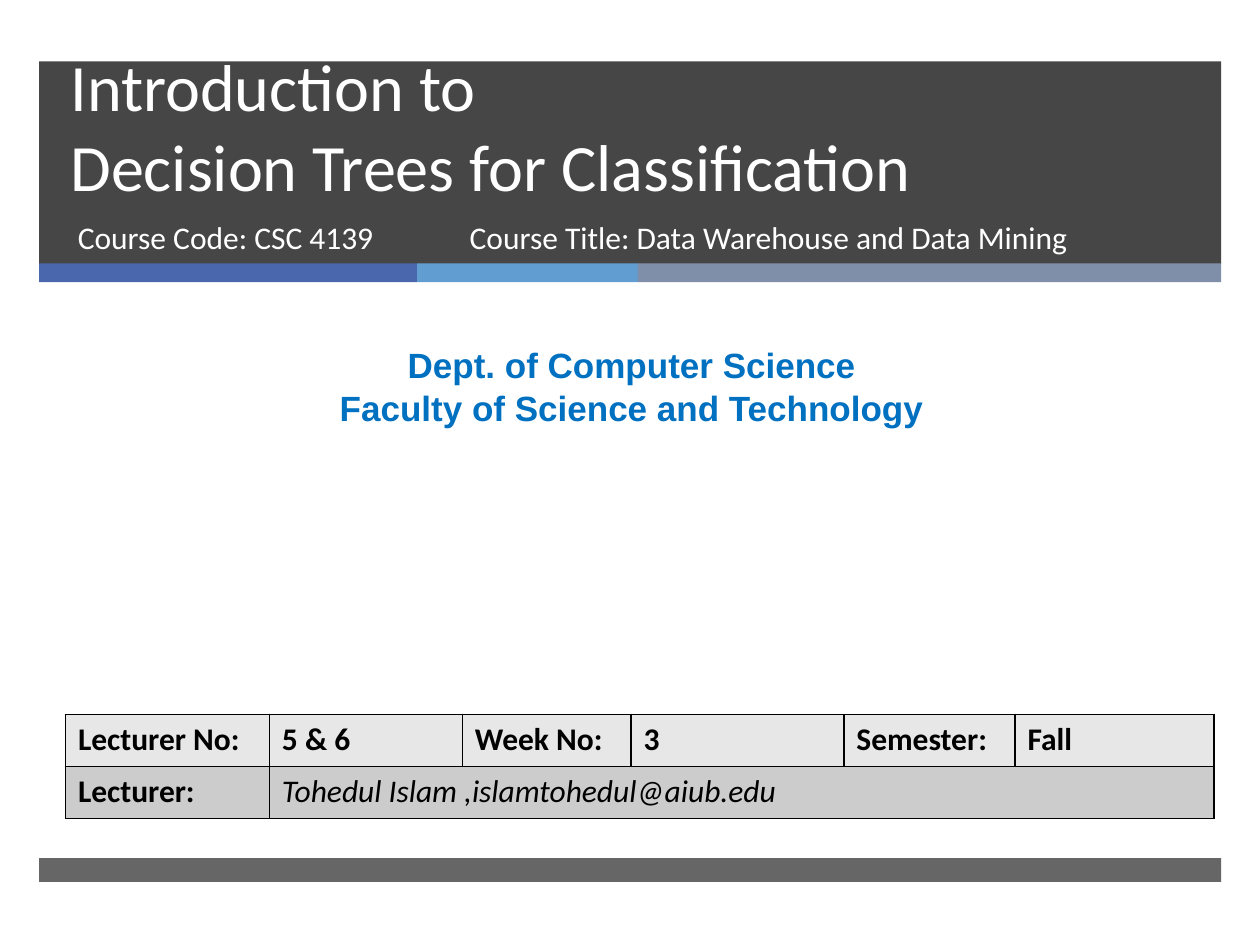
from lxml.etree import SubElement
from pptx import Presentation
from pptx.dml.color import RGBColor
from pptx.enum.shapes import MSO_SHAPE
from pptx.enum.text import MSO_ANCHOR, PP_ALIGN
from pptx.oxml import parse_xml
from pptx.oxml.ns import nsdecls, qn
from pptx.util import Cm, Pt

BAND_LEFT, BAND_WIDTH = 0.79, 23.83


def color(value):
    """Turn a hex string into a colour."""
    return RGBColor.from_string(value)


def add_band(slide, left, top, width, height, fill, opacity=100):
    """Add a borderless rectangle, optionally translucent."""
    shape = slide.shapes.add_shape(
        MSO_SHAPE.RECTANGLE, Cm(left), Cm(top), Cm(width), Cm(height))
    shape.shadow.inherit = False
    shape.fill.solid()
    shape.fill.fore_color.rgb = color(fill)
    shape.line.fill.background()
    if opacity < 100:
        fill_color = shape._element.spPr.find(qn("a:solidFill"))[0]
        SubElement(fill_color, qn("a:alpha"), val=str(opacity * 1000))


def style_text(text_frame, font_name, size, text_color, bold=False, italic=False):
    """Format every run of a text frame."""
    for paragraph in text_frame.paragraphs:
        for run in paragraph.runs:
            font = run.font
            font.name, font.size = font_name, Pt(size)
            font.bold, font.italic = bold, italic
            font.color.rgb = color(text_color)


def add_text(slide, box, text, size, text_color="FFFFFF", font_name="Calibri",
             bold=False, align=PP_ALIGN.LEFT, anchor=MSO_ANCHOR.TOP, line_spacing=None):
    """Add a wrapped text box and return nothing."""
    text_frame = slide.shapes.add_textbox(*map(Cm, box)).text_frame
    text_frame.word_wrap = True
    text_frame.vertical_anchor = anchor
    text_frame.text = text
    for paragraph in text_frame.paragraphs:
        paragraph.alignment = align
        if line_spacing:
            paragraph.line_spacing = Pt(line_spacing)
    style_text(text_frame, font_name, size, text_color, bold)


def format_cell(cell, fill, italic):
    """Give a cell black borders, a fill and its font."""
    properties = cell._tc.get_or_add_tcPr()
    for side in ("lnL", "lnR", "lnT", "lnB"):
        properties.append(parse_xml(
            f'<a:{side} {nsdecls("a")} w="12700"><a:solidFill>'
            f'<a:srgbClr val="000000"/></a:solidFill></a:{side}>'))
    cell.fill.solid()
    cell.fill.fore_color.rgb = color(fill)
    style_text(cell.text_frame, "Calibri", 18, "000000", not italic, italic)


def add_lecture_table(slide):
    """Add the table with the lecture details."""
    rows = [
        ["Lecturer No:", "5 & 6", "Week No:", "3", "Semester:", "Fall"],
        ["Lecturer:", "Tohedul Islam ,islamtohedul@aiub.edu"],
    ]
    widths = [4.11, 3.89, 3.4, 4.29, 3.45, 4.01]
    row_height = 1.05
    table = slide.shapes.add_table(
        len(rows), len(widths), Cm(1.32), Cm(14.4),
        Cm(sum(widths)), Cm(row_height * len(rows))).table
    for column, width in zip(table.columns, widths):
        column.width = Cm(width)
    for row_index, (texts, fill) in enumerate(zip(rows, ("E7E7E7", "CCCCCC"))):
        table.rows[row_index].height = Cm(row_height)
        for column_index, text in enumerate(texts):
            table.cell(row_index, column_index).text_frame.text = text
        for column_index in range(len(widths)):
            italic = row_index == 1 and column_index > 0
            format_cell(table.cell(row_index, column_index), fill, italic)
    table.cell(1, 1).merge(table.cell(1, len(widths) - 1))


def main():
    """Build the title slide."""
    presentation = Presentation()
    presentation.slide_width, presentation.slide_height = Cm(25.4), Cm(19.05)
    slide = presentation.slides.add_slide(presentation.slide_layouts[6])

    add_band(slide, BAND_LEFT, 1.24, BAND_WIDTH, 4.09, "262626", 85)
    left = BAND_LEFT
    for width, fill in ((7.62, "4A66AC"), (4.45, "629DD1"), (11.76, "7F8FA9")):
        add_band(slide, left, 5.31, width, 0.38, fill)
        left += width
    add_band(slide, BAND_LEFT, 17.3, BAND_WIDTH, 0.48, "262626", 70)

    add_text(slide, (1.17, 1.24, 21.69, 3.02),
             "Introduction to \vDecision Trees for Classification", 37.8,
             anchor=MSO_ANCHOR.BOTTOM, line_spacing=46)
    add_text(slide, (1.32, 4.27, 7.75, 1.35), "Course Code: CSC 4139", 18)
    add_text(slide, (0.2, 6.81, 25.07, 1.96),
             "Dept. of Computer Science\nFaculty of Science and Technology", 20,
             "0070C0", "Arial", bold=True, align=PP_ALIGN.CENTER)
    add_lecture_table(slide)
    add_text(slide, (9.22, 4.27, 12.88, 1.35),
             "Course Title: Data Warehouse and Data Mining", 18)
    presentation.save("out.pptx")


if __name__ == "__main__":
    main()
